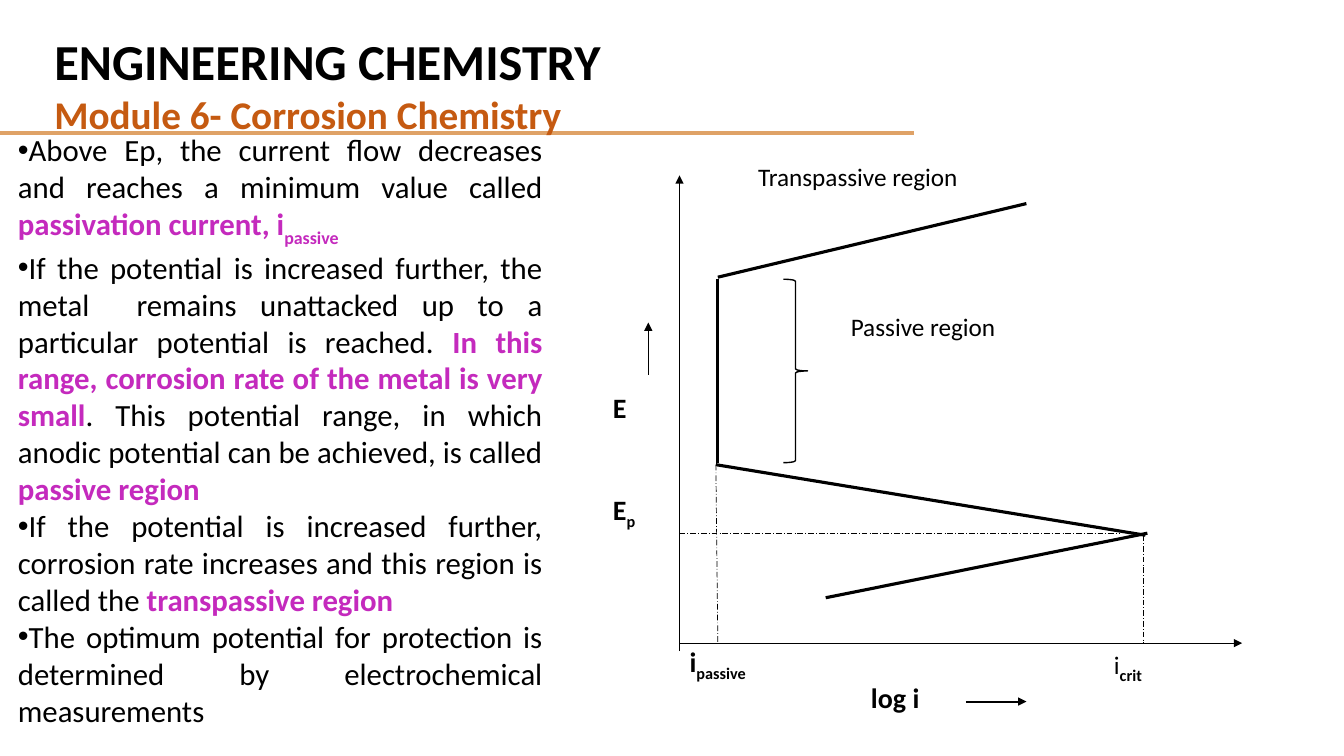
from lxml.etree import SubElement
from pptx import Presentation
from pptx.dml.color import RGBColor
from pptx.enum.dml import MSO_LINE
from pptx.enum.shapes import MSO_CONNECTOR, MSO_SHAPE
from pptx.enum.text import PP_ALIGN
from pptx.oxml.ns import qn
from pptx.util import Inches, Pt

BLACK, ORANGE, PURPLE, GOLD = "000000", "C55A11", "C42ABD", "DFA267"
AXIS_X, AXIS_Y, E_P = 6.74, 6.38, 5.29
PASSIVE_X, CRIT_X = 7.12, 11.34
PASSIVE_TOP, PASSIVE_BOTTOM = 2.77, 4.59

TITLE = [
    [("ENGINEERING CHEMISTRY", 36, BLACK, True, 0)],
    [("Module 6- Corrosion Chemistry", 28, ORANGE, True, 0)],
]


def plain(text):
    return (text, 22, BLACK, False, 0)


def key(text, baseline=0):
    return (text, 22, PURPLE, True, baseline)


def label(text, size=20, bold=True, baseline=0):
    return (text, size, BLACK, bold, baseline)


BODY = [
    [plain("Above Ep, the current flow decreases and reaches a minimum value called "),
     key("passivation current, i"), key("passive", -30)],
    [plain("If the potential is increased further, the metal  remains unattacked up to a "
           "particular potential is reached. "),
     key("In this range, corrosion rate of the metal is very small"),
     plain(". This potential range, in which anodic potential can be achieved, is called "),
     key("passive region")],
    [plain("If the potential is increased further, corrosion rate increases and this "
           "region is called the "),
     key("transpassive region")],
    [plain("The optimum potential for protection is determined by electrochemical "
           "measurements")],
]
LABELS = [
    ((8.34, 3.04, 2.04, 0.84), [[label("Passive region", 18, False)]]),
    ((7.42, 1.55, 4.29, 1.18), [[label("Transpassive region", 18, False)]]),
    ((5.98, 3.82, 1.05, 2.41), [[label("E")], [label("E"), label("p", baseline=-25)]]),
    ((8.54, 6.7, 1.39, 0.52), [[label("log i")]]),
    ((10.95, 6.36, 1.23, 0.48), [[label("i", 18, False), label("crit", baseline=-25)]]),
    ((6.74, 6.34, 1.55, 0.52), [[label("i"), label("passive", baseline=-25)]]),
]
ARROWS = [
    ((AXIS_X, 6.46), (AXIS_X, 1.74), 0.5),
    ((AXIS_X, AXIS_Y), (12.32, AXIS_Y), 0.5),
    ((6.43, 3.72), (6.43, 3.2), 1),
    ((9.58, 6.96), (10.18, 6.96), 1.5),
]
CURVE = [
    ((8.19, 5.93), (11.38, E_P)),
    ((11.36, 5.31), (7.1, 4.61)),
    ((PASSIVE_X, PASSIVE_BOTTOM), (PASSIVE_X, PASSIVE_TOP)),
    ((PASSIVE_X, 2.75), (10.18, 2.02)),
]
GUIDES = [
    ((AXIS_X, E_P), (11.1, E_P)),
    ((CRIT_X, 5.31), (CRIT_X, AXIS_Y)),
    ((7.1, 4.61), (PASSIVE_X, AXIS_Y)),
]


def rgb(value):
    return RGBColor.from_string(value)


def add_line(s, start, end, width, color=BLACK, arrow=False, dashed=False):
    line = s.shapes.add_connector(
        MSO_CONNECTOR.STRAIGHT, *(Inches(v) for v in start + end))
    line.line.color.rgb = rgb(color)
    line.line.width = Pt(width)
    if dashed:
        line.line.dash_style = MSO_LINE.LONG_DASH_DOT
    spPr = line._element.spPr
    if arrow:
        SubElement(spPr.find(qn("a:ln")), qn("a:tailEnd"), type="triangle")
    SubElement(spPr, qn("a:effectLst"))


def add_text(s, box, paragraphs, bullets=False, gap=0):
    tf = s.shapes.add_textbox(*(Inches(v) for v in box)).text_frame
    tf.word_wrap = True
    for i, runs in enumerate(paragraphs):
        p = tf.add_paragraph() if i else tf.paragraphs[0]
        if i and gap:
            p.space_before = Pt(gap)
        if bullets:
            p.alignment = PP_ALIGN.JUSTIFY
            pPr = p._p.get_or_add_pPr()
            pPr.set("marL", "0")
            pPr.set("indent", "0")
            SubElement(pPr, qn("a:buFont"), typeface="Arial")
            SubElement(pPr, qn("a:buChar"), char="•")
        for text, size, color, bold, baseline in runs:
            r = p.add_run()
            r.text = text
            r.font.name = "Calibri"
            r.font.size = Pt(size)
            r.font.bold = bold
            r.font.color.rgb = rgb(color)
            if baseline:
                r._r.get_or_add_rPr().set("baseline", str(baseline * 1000))


def main():
    """Build the slide on anodic passivation with its polarisation curve."""
    prs = Presentation()
    prs.slide_width, prs.slide_height = Inches(13.33), Inches(7.5)
    s = prs.slides.add_slide(prs.slide_layouts[6])

    add_line(s, (0, 1.32), (9.07, 1.32), 3, GOLD)
    add_text(s, (0.44, 0.25, 8.75, 1.18), TITLE)
    add_text(s, (0.08, 1.25, 5.4, 6.2), BODY, bullets=True)

    for start, end, width in ARROWS:
        add_line(s, start, end, width, arrow=True)
    for start, end in CURVE:
        add_line(s, start, end, 2.25)
    for start, end in GUIDES:
        add_line(s, start, end, 0.5, dashed=True)

    brace = s.shapes.add_shape(
        MSO_SHAPE.RIGHT_BRACE, Inches(7.77), Inches(PASSIVE_TOP),
        Inches(0.24), Inches(PASSIVE_BOTTOM - PASSIVE_TOP))
    brace.shadow.inherit = False
    brace.fill.background()
    brace.line.color.rgb = rgb(BLACK)
    brace.line.width = Pt(1)

    for box, paragraphs in LABELS:
        add_text(s, box, paragraphs, gap=49)

    prs.save("out.pptx")


if __name__ == "__main__":
    main()
